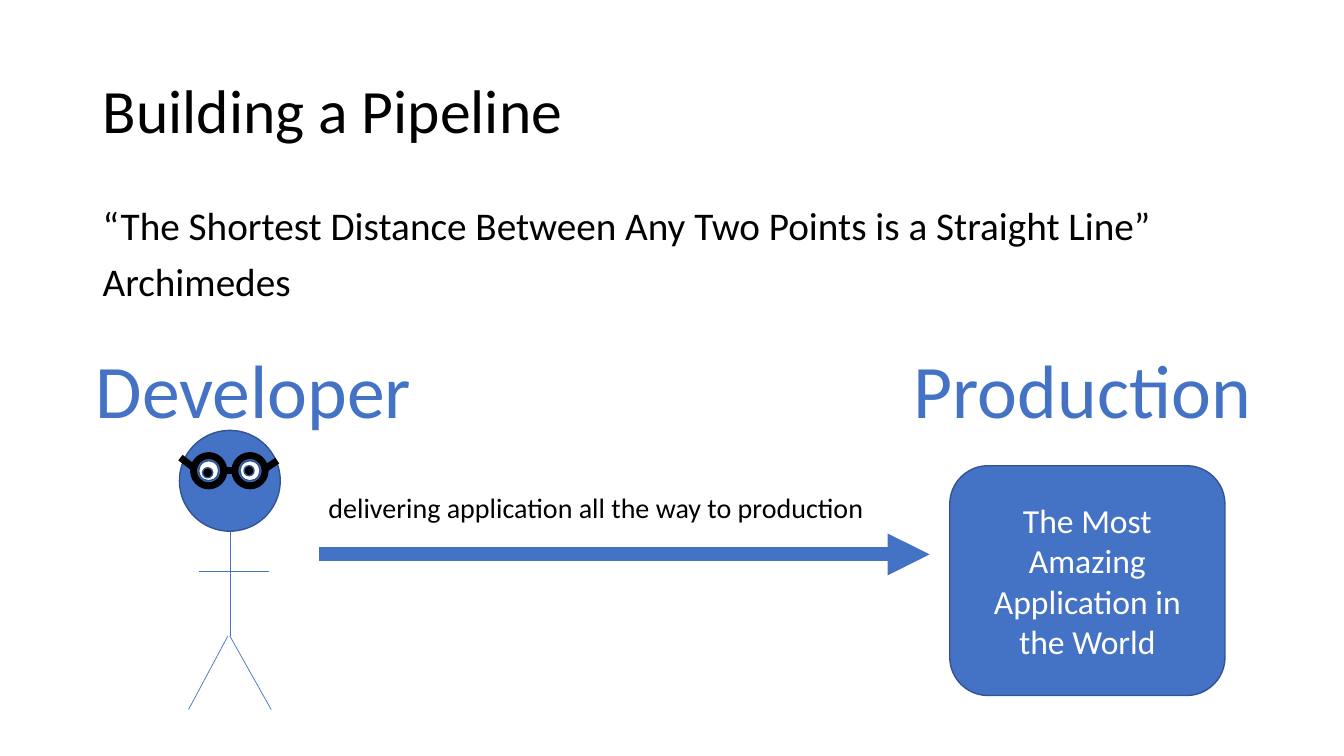
from dataclasses import dataclass

from lxml import etree
from pptx import Presentation
from pptx import util as u
from pptx.dml.color import RGBColor
from pptx.enum import shapes, text
from pptx.oxml.ns import qn

PX = 9144  # EMU per px, 100 px to the inch


@dataclass(frozen=True)
class Theme:
    font: str = "Calibri"
    ink: str = "000000"
    paper: str = "FFFFFF"
    accent: str = "4472C4"
    outline: str = "325491"
    title: int = 44
    heading: int = 54
    quote: int = 28
    box: int = 24
    caption: int = 20
    hairline: float = 0.5
    edge: int = 1
    glasses: int = 5
    arrow: int = 10


def px(*lengths):
    return [u.Emu(length * PX) for length in lengths]


class SlideBuilder:
    def __init__(self, slide, theme):
        self.slide = slide
        self.theme = theme
        self.target = slide.shapes

    def start_group(self):
        self.target = self.slide.shapes.add_group_shape().shapes

    def end_group(self):
        self.target = self.slide.shapes

    def set_text(self, frame, lines, size, color, align=text.PP_ALIGN.LEFT,
                 spacing=None, before=None):
        frame.text = "\n".join(lines)
        for paragraph in frame.paragraphs:
            paragraph.alignment = align
            paragraph.line_spacing = spacing
            paragraph.space_before = before
            paragraph.font.name = self.theme.font
            paragraph.font.size = u.Pt(size)
            paragraph.font.color.rgb = RGBColor.from_string(color)

    def title(self, words, left, top, width, height):
        title = self.slide.shapes.title
        title.left, title.top, title.width, title.height = px(left, top, width, height)
        frame = title.text_frame
        frame.auto_size = text.MSO_AUTO_SIZE.NONE
        frame.vertical_anchor = text.MSO_ANCHOR.MIDDLE
        self.set_text(frame, [words], self.theme.title, self.theme.ink, spacing=0.9)

    def text_box(self, lines, left, top, width, height, size, color, wrap=True, **layout):
        frame = self.target.add_textbox(*px(left, top, width, height)).text_frame
        frame.word_wrap = wrap
        self.set_text(frame, lines, size, color, **layout)

    def heading(self, words, left, width):
        self.text_box([words], left, 335, width, 101, self.theme.heading,
                      self.theme.accent, wrap=False, align=text.PP_ALIGN.CENTER)

    def shape(self, kind, left, top, width, height, fill, line=None, weight=None):
        """Add a preset shape; a fill of None leaves it hollow."""
        shape = self.target.add_shape(kind, *px(left, top, width, height))
        shape.shadow.inherit = False
        if fill:
            shape.fill.solid()
            shape.fill.fore_color.rgb = RGBColor.from_string(fill)
        else:
            shape.fill.background()
        shape.line.color.rgb = RGBColor.from_string(line or self.theme.outline)
        shape.line.width = u.Pt(weight or self.theme.edge)
        return shape

    def circle(self, x, y, diameter, fill, line=None, weight=None):
        """Add a circle centred on x, y."""
        radius = diameter // 2
        self.shape(shapes.MSO_SHAPE.OVAL, x - radius, y - radius,
                   diameter, diameter, fill, line, weight)

    def box(self, words, left, top, width, height):
        box = self.shape(shapes.MSO_SHAPE.ROUNDED_RECTANGLE,
                         left, top, width, height, self.theme.accent)
        box.text_frame.word_wrap = True
        box.text_frame.vertical_anchor = text.MSO_ANCHOR.MIDDLE
        self.set_text(box.text_frame, [words], self.theme.box, self.theme.paper,
                      align=text.PP_ALIGN.CENTER)

    def line(self, x1, y1, x2, y2, color, weight, arrow=False):
        line = self.target.add_connector(shapes.MSO_CONNECTOR.STRAIGHT, *px(x1, y1, x2, y2))
        line.line.color.rgb = RGBColor.from_string(color)
        line.line.width = u.Pt(weight)
        properties = line._element.spPr
        if arrow:
            etree.SubElement(properties.find(qn("a:ln")), qn("a:tailEnd"), type="triangle")
        etree.SubElement(properties, qn("a:effectLst"))


def draw_developer(builder):
    theme = builder.theme
    builder.start_group()
    builder.circle(228, 477, 100, theme.accent)

    spine, hip = 228, 631
    limbs = [(spine, 527, spine, hip), (spine, hip, 269, 704),
             (226, hip, 187, 704), (267, 567, 197, 567)]
    for limb in limbs:
        builder.line(*limb, theme.accent, theme.hairline)

    eyes, eye_level = (207, 248), 467
    for eye in eyes:
        builder.circle(eye, eye_level, 20, theme.paper)
        builder.circle(eye, eye_level, 30, None, theme.ink, theme.glasses)

    bridge, right_temple, left_temple = (
        (222, 467, 233, 467), (263, 465, 275, 457), (179, 454, 192, 464))
    for frame_part in (bridge, right_temple, left_temple):
        builder.line(*frame_part, theme.ink, theme.glasses)

    for pupil in ((247, 467), (206, 469)):
        builder.circle(*pupil, 10, theme.ink)
    builder.end_group()


def main():
    deck = Presentation()
    deck.slide_width, deck.slide_height = px(1333, 750)
    theme = Theme()
    title_only = deck.slide_layouts[5]
    builder = SlideBuilder(deck.slides.add_slide(title_only), theme)

    builder.title("Building a Pipeline", 92, 40, 1150, 145)
    builder.text_box(
        ["“The Shortest Distance Between Any Two Points is a Straight Line”", "Archimedes"],
        92, 200, 1150, 476, theme.quote, theme.ink, spacing=0.9, before=u.Pt(10))

    draw_developer(builder)
    builder.heading("Developer", 83, 337)
    builder.box("The Most Amazing Application in the World", 942, 462, 273, 228)
    builder.heading("Production", 894, 359)

    builder.line(316, 550, 922, 550, theme.accent, theme.arrow, arrow=True)
    builder.text_box(["delivering application all the way to production"],
                     316, 482, 554, 44, theme.caption, theme.ink)

    deck.save("out.pptx")


if __name__ == "__main__":
    main()
